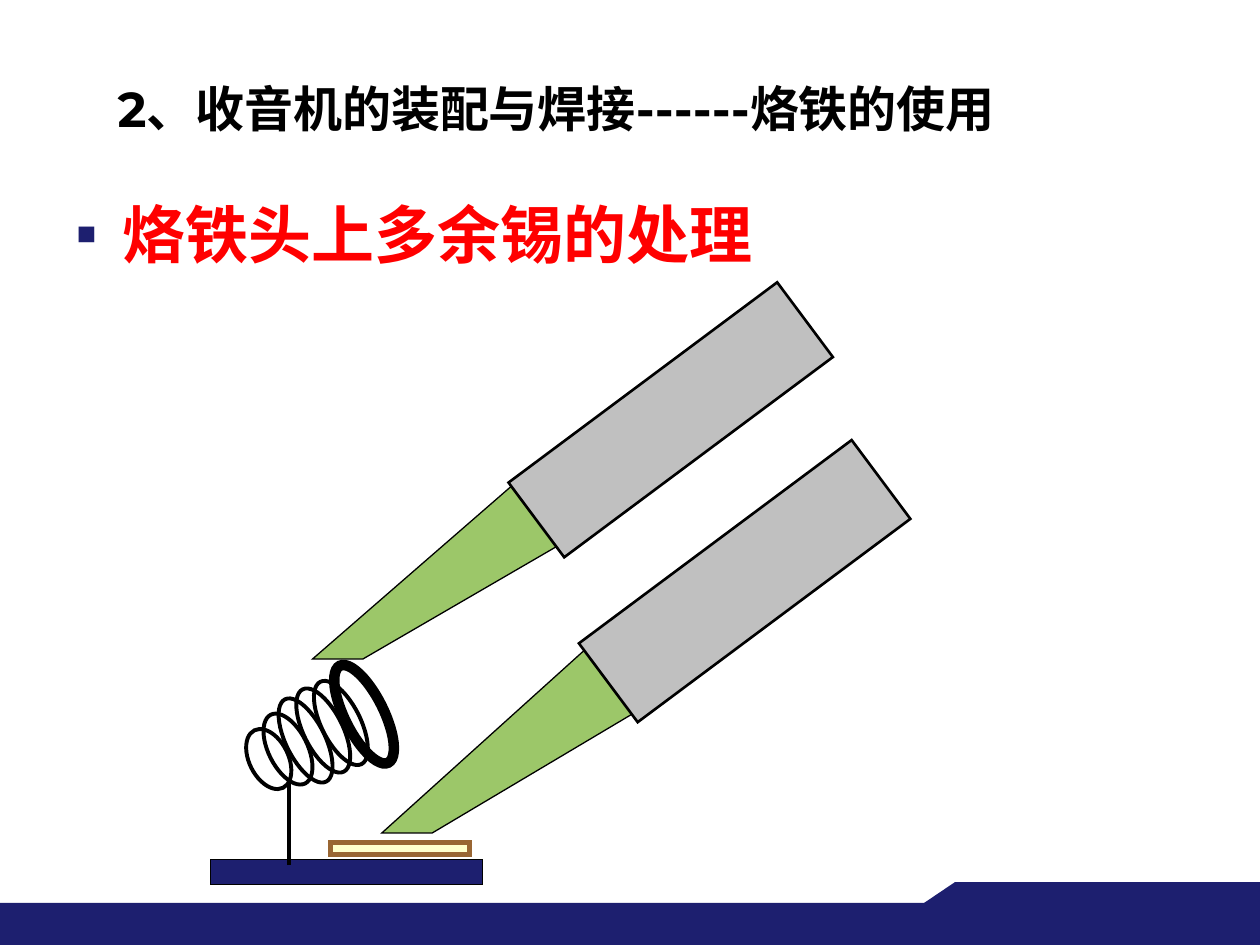
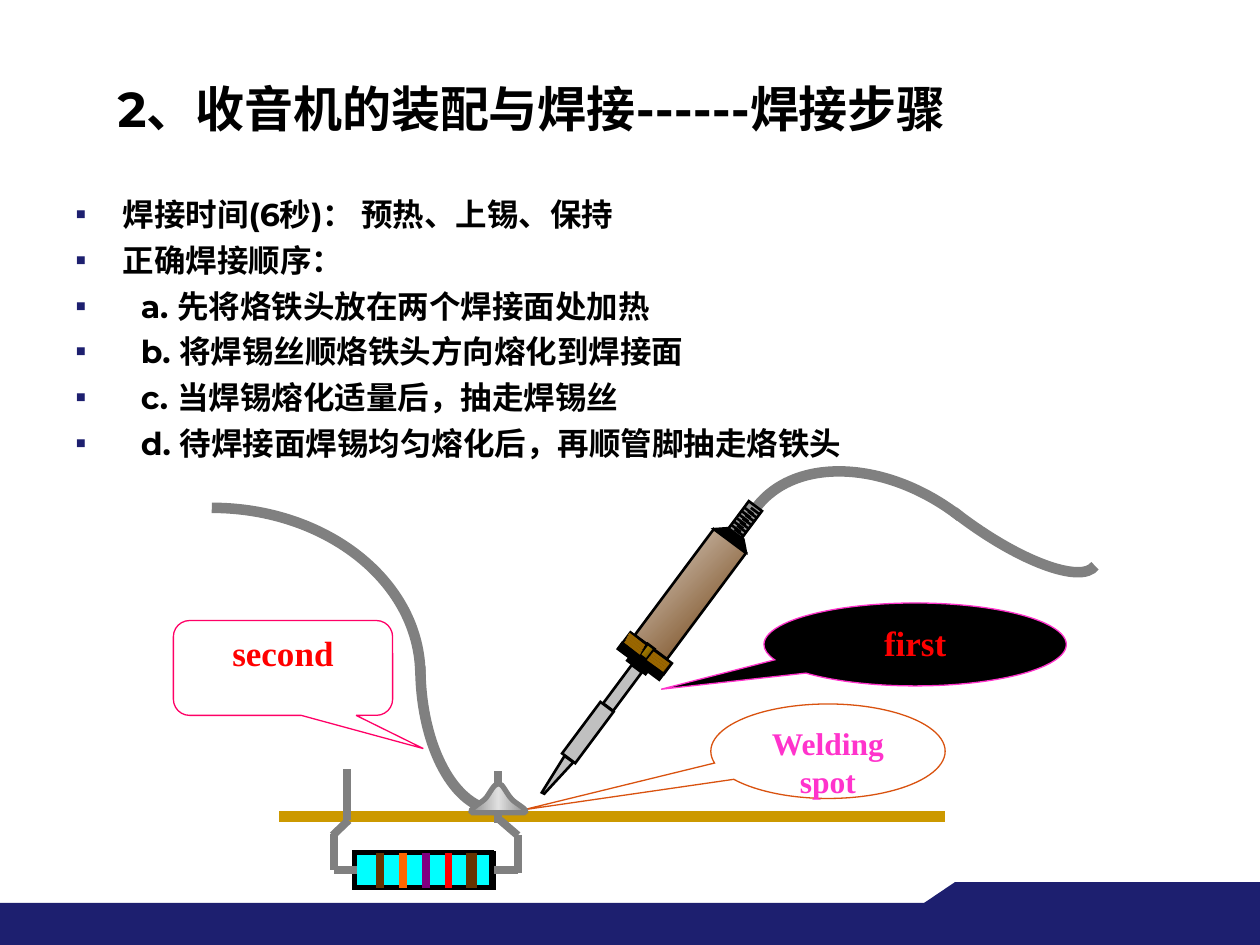
from dataclasses import dataclass

from lxml import etree
from pptx import Presentation
from pptx import util as u
from pptx.dml import color as c
from pptx.enum import shapes as kinds
from pptx.enum import text as t
from pptx.oxml import ns

Point = tuple[float, float]
Fill = str | tuple[str, ...] | None


@dataclass(frozen=True)
class Theme:
    navy: str = "1D1F6F"
    black: str = "000000"
    white: str = "FFFFFF"
    red: str = "FF0000"
    pink: str = "FF33CC"
    silver: str = "C0C0C0"
    gray: str = "808080"
    green: str = "9CC769"
    brass: str = "996600"
    brown: str = "663300"
    latin: str = "Montserrat"
    asian: str = "Noto Sans CJK JP"
    serif: str = "Times New Roman"
    title_size: int = 28
    headline_size: int = 36
    body_size: int = 18
    label_size: int = 20


THEME = Theme()


@dataclass(frozen=True)
class Block:
    left: float
    top: float
    width: float
    height: float
    fill: Fill = None
    line: str | None = THEME.black
    weight: float = 1.5
    angle: float = 0
    kind: kinds.MSO_SHAPE = kinds.MSO_SHAPE.RECTANGLE


@dataclass(frozen=True)
class Outline:
    points: tuple[Point, ...]
    fill: Fill = None
    line: str | None = THEME.black
    weight: float = 1.5
    closed: bool = True
    curved: bool = False
    sweep: float = 45


@dataclass(frozen=True)
class Stroke:
    start: Point
    end: Point
    color: str = THEME.black
    weight: float = 1.5


@dataclass(frozen=True)
class Callout:
    block: Block
    adjustments: tuple[float, ...]
    label: str
    color: str
    size: int


@dataclass(frozen=True)
class BodyLine:
    words: str
    indent: float = 27


def rgb(value: str) -> c.RGBColor:
    return c.RGBColor.from_string(value)


def paint(shape, fill: Fill, line: str | None, weight: float, sweep: float = 45) -> None:
    shape.shadow.inherit = False
    if fill is None:
        shape.fill.background()
    elif isinstance(fill, str):
        shape.fill.solid()
        shape.fill.fore_color.rgb = rgb(fill)
    else:
        shape.fill.gradient()
        shape.fill.gradient_angle = (360 - sweep) % 360
        gradient = shape.element.spPr.find(ns.qn("a:gradFill"))
        gradient.set("rotWithShape", "0")
        stops = gradient.find(ns.qn("a:gsLst"))
        for stop in list(stops):
            stops.remove(stop)
        for index, value in enumerate(fill):
            position = str(100000 * index // (len(fill) - 1))
            stop = etree.SubElement(stops, ns.qn("a:gs"), pos=position)
            etree.SubElement(stop, ns.qn("a:srgbClr"), val=value)
    if line is None:
        shape.line.fill.background()
    else:
        shape.line.color.rgb = rgb(line)
        shape.line.width = u.Pt(weight)
        edge = shape.element.spPr.find(ns.qn("a:ln"))
        etree.SubElement(edge, ns.qn("a:miter"), lim="800000")


def draw_block(page, block: Block):
    shape = page.shapes.add_shape(
        block.kind, u.Pt(block.left), u.Pt(block.top), u.Pt(block.width), u.Pt(block.height))
    shape.rotation = block.angle
    paint(shape, block.fill, block.line, block.weight)
    return shape


def bend(shape) -> None:
    segments = list(shape.element.iter(ns.qn("a:lnTo")))
    for first in range(0, len(segments), 3):
        curve = etree.Element(ns.qn("a:cubicBezTo"))
        segments[first].addprevious(curve)
        for segment in segments[first:first + 3]:
            curve.append(segment[0])
            segment.getparent().remove(segment)


def draw_outline(page, outline: Outline) -> None:
    corners = [(u.Pt(x), u.Pt(y)) for x, y in outline.points]
    builder = page.shapes.build_freeform(*corners[0], scale=1.0)
    builder.add_line_segments(corners[1:], close=outline.closed)
    shape = builder.convert_to_shape()
    if outline.curved:
        bend(shape)
    paint(shape, outline.fill, outline.line, outline.weight, outline.sweep)


def draw_stroke(page, stroke: Stroke) -> None:
    line = page.shapes.add_connector(
        kinds.MSO_CONNECTOR.STRAIGHT, *(u.Pt(value) for value in stroke.start + stroke.end))
    line.line.color.rgb = rgb(stroke.color)
    line.line.width = u.Pt(stroke.weight)
    etree.SubElement(line.element.spPr, ns.qn("a:effectLst"))


def draw_callout(page, callout: Callout) -> None:
    shape = draw_block(page, callout.block)
    for index, value in enumerate(callout.adjustments):
        shape.adjustments[index] = value
    frame = shape.text_frame
    frame.word_wrap = True
    frame.vertical_anchor = t.MSO_ANCHOR.TOP
    frame.text = callout.label
    para = frame.paragraphs[0]
    para.alignment = t.PP_ALIGN.CENTER
    format_run(para.runs[0], THEME.serif, callout.size, callout.color)


def draw_all(page, items: list) -> None:
    painters = {Block: draw_block, Outline: draw_outline, Stroke: draw_stroke, Callout: draw_callout}
    for item in items:
        painters[type(item)](page, item)


def hatch(start: Point, step: Point, delta: Point, count: int, color: str) -> list[Stroke]:
    origins = [(start[0] + i * step[0], start[1] + i * step[1]) for i in range(count)]
    return [Stroke((x, y), (x + delta[0], y + delta[1]), color) for x, y in origins]


def format_run(span, font: str, size: int, color: str) -> None:
    span.font.name = font
    span.font.size = u.Pt(size)
    span.font.bold = True
    span.font.color.rgb = rgb(color)
    latin = span.font._element.find(ns.qn("a:latin"))
    latin.addnext(etree.Element(ns.qn("a:ea"), typeface=THEME.asian))


def add_box(page, left: float, top: float, width: float, height: float):
    box = page.shapes.add_textbox(u.Pt(left), u.Pt(top), u.Pt(width), u.Pt(height))
    box.text_frame.word_wrap = True
    return box.text_frame


def add_body(page, lines: list[BodyLine], font: str, size: int, color: str) -> None:
    frame = add_box(page, 36, 108, 648, 396)
    frame.text = "\n".join(line.words for line in lines)
    for index, (para, line) in enumerate(zip(frame.paragraphs, lines)):
        if index:
            para.space_before = u.Pt(4.5)
        properties = para._p.get_or_add_pPr()
        properties.set("marL", str(u.Pt(line.indent)))
        properties.set("indent", str(-u.Pt(line.indent)))
        bullet_color = etree.SubElement(properties, ns.qn("a:buClr"))
        etree.SubElement(bullet_color, ns.qn("a:srgbClr"), val=THEME.navy)
        etree.SubElement(properties, ns.qn("a:buFont"), typeface=THEME.serif)
        etree.SubElement(properties, ns.qn("a:buChar"), char="▪")
        format_run(para.runs[0], font, size, color)


def add_page(deck, topic: str):
    page = deck.slides.add_slide(deck.slide_layouts[6])
    draw_all(page, [
        Block(0, 516, 720, 24, THEME.navy, None),
        Outline(((528, 516), (545.8, 504), (720, 504), (720, 522), (528, 522)), THEME.navy, None),
    ])
    frame = add_box(page, 60.1, 39.6, 617.8, 44.6)
    frame.vertical_anchor = t.MSO_ANCHOR.MIDDLE
    frame.text = f"2、收音机的装配与焊接------{topic}"
    format_run(frame.paragraphs[0].runs[0], THEME.latin, THEME.title_size, THEME.black)
    return page


def add_excess_solder_page(deck) -> None:
    page = add_page(deck, "烙铁的使用")
    add_body(page, [BodyLine("烙铁头上多余锡的处理")], THEME.asian, THEME.headline_size, THEME.red)
    upper_tip = ((320.4, 311), (207.4, 376.6), (178.6, 376.6), (293.8, 276.5))
    lower_tip = ((362.2, 407.5), (247, 476), (218.2, 476), (334.8, 370.8))
    coils = [
        (142.6, 416.9, 43.9, 2.25), (135.2, 422.6, 36.7, 2.25), (148.3, 412, 52.6, 2.25),
        (168.5, 402, 52.6, 2.25), (158.4, 406.3, 52.6, 2.25), (177.1, 397, 61.9, 6),
    ]
    draw_all(page, [
        Outline(upper_tip, THEME.green, weight=0.75),
        Block(356.6, 144.2, 53.3, 191.5, THEME.silver, angle=53.3),
        Outline(lower_tip, THEME.green, weight=0.75),
        Block(397.4, 234.9, 56.2, 194.4, THEME.silver, angle=53.3),
        Block(120.2, 491, 155.5, 14.4, THEME.navy, weight=0.75),
        Stroke((165.4, 494.4), (165.4, 447.1), weight=2.25),
        *[Block(left, top, width, 22.3, weight=weight, angle=63.5, kind=kinds.MSO_SHAPE.OVAL)
          for left, top, width, weight in coils],
        Block(188.8, 481.3, 79.4, 7.2, "FFFFCC", "996633", 3),
    ])


def resistor() -> list:
    leads = [
        ((203.8, 497.2), (190.8, 497.2)), ((295.9, 497.2), (282.2, 497.2)),
        ((295.9, 477.4), (295.9, 498.8)), ((199.2, 468.7), (190.1, 477.4)),
        ((285.8, 468.7), (295.9, 477.4)), ((190.8, 476.6), (190.8, 497.2)),
        ((284.7, 470.2), (284.7, 440.6)), ((198.5, 468.7), (198.5, 439.2)),
    ]
    bands = [(THEME.brown, 4.5), ("FF6600", 4.5), ("800080", 4.5), (THEME.red, 4.5), (THEME.brown, 6)]
    xs = [217 + 13.1 * index for index in range(len(bands))]
    return [
        Block(203.8, 487.4, 78.5, 20.2, THEME.white, weight=2.25),
        Block(202.6, 487, 78.5, 20.2, "00FFFF", weight=3),
        *[Stroke((x, 487.4), (x, 507.6), *band) for x, band in zip(xs, bands)],
        *[Stroke(start, end, THEME.gray, 4.5) for start, end in leads],
    ]


def soldering_iron() -> list:
    tilt = 36.7
    cap = ((408.2, 302.4), (417.6, 301.7), (424.8, 308.2), (426.2, 315.4))
    tip = ((322.6, 432), (309.6, 452.9), (311, 453.6), (327.6, 435.6))
    return [
        Block(383, 301.7, 23, 75.6, ("E3DAD1", THEME.brown), angle=tilt),
        Outline(cap, THEME.black),
        Block(355, 369.4, 29.5, 7.9, (THEME.brass, "472F00"), angle=tilt),
        Block(351.4, 375.8, 29.5, 4.3, THEME.black, angle=tilt),
        Block(357.8, 379.4, 13, 2.2, THEME.black, angle=tilt),
        Block(352.1, 379.4, 7.2, 27.4, THEME.silver, angle=tilt),
        Block(331.2, 400.3, 9.4, 36.7, THEME.silver, angle=tilt),
        Outline(tip, THEME.silver),
        Block(421.2, 287.3, 9.4, 19.4, "969696", angle=tilt),
        *hatch((429.1, 290.2), (-1.56, 2.04), (5, 3.7), 7, THEME.black),
        *hatch((425.5, 290.2), (-1.44, 2.02), (5, 3.7), 6, THEME.black),
        Block(367.2, 368.6, 5, 7.9, ("CC9900", "5E4700"), angle=tilt),
        *hatch((359.3, 362.2), (-0.72, 1.44), (8.9, 7), 4, THEME.brass),
        *hatch((373, 373), (-0.96, 1.2), (9.2, 6.6), 4, THEME.brass),
    ]


def add_steps_page(deck) -> None:
    page = add_page(deck, "焊接步骤")
    steps = [
        "a. 先将烙铁头放在两个焊接面处加热",
        "b. 将焊锡丝顺烙铁头方向熔化到焊接面",
        "c. 当焊锡熔化适量后，抽走焊锡丝",
        "d. 待焊接面焊锡均匀熔化后，再顺管脚抽走烙铁头",
    ]
    add_body(page, [
        BodyLine("焊接时间(6秒)： 预热、上锡、保持"),
        BodyLine("正确焊接顺序："),
        *[BodyLine(step, 37.4) for step in steps],
    ], THEME.latin, THEME.body_size, THEME.black)
    solder_wire = [
        ((121, 290.2), (186.5, 290.2), (240.2, 332.6), (240.2, 385.9)),
        ((284.4, 463), (259.9, 463), (240.2, 426.2), (240.2, 380.9)),
    ]
    power_cable = [
        ((432, 290.2), (454.3, 260.6), (506.9, 262.8), (548.6, 295.2)),
        ((625.7, 323.3), (617.8, 334.1), (581, 320.4), (545, 292.3)),
    ]
    mound = (
        (270, 464.4), (266.4, 463), (275.8, 458.6), (277.9, 455.8), (280.1, 452.9),
        (282.2, 447.8), (285.1, 447.8), (287.3, 447.8), (289.4, 453.6), (292.3, 456.5),
        (294.5, 459.4), (303.1, 463), (299.5, 464.4),
    )
    oval = kinds.MSO_SHAPE.OVAL_CALLOUT
    rounded = kinds.MSO_SHAPE.ROUNDED_RECTANGULAR_CALLOUT
    wires, cables = [
        [Outline(curve, line=THEME.gray, weight=6, closed=False, curved=True) for curve in curves]
        for curves in (solder_wire, power_cable)]
    draw_all(page, [
        Stroke((159.6, 466.6), (540, 466.6), "CC9900", 6),
        *wires, *resistor(), *cables, *soldering_iron(),
        Callout(Block(436.6, 344.6, 172.8, 47.4, THEME.black, THEME.pink, 0.75, kind=oval),
                (-0.84, 0.54), "first", THEME.red, THEME.label_size),
        Callout(Block(406.2, 402.3, 133.9, 54, THEME.white, "D9520F", 0.75, kind=oval),
                (-1.3, 0.62), "Welding spot", THEME.pink, THEME.body_size),
        Callout(Block(99.1, 354.6, 125.3, 54.2, THEME.white, "FF0066", 0.75, kind=rounded),
                (0.64, 0.85, 0.17), "second", THEME.red, THEME.label_size),
        Outline(mound, (THEME.gray, "E0E0E0", THEME.gray), THEME.gray, 3, curved=True, sweep=0),
    ])


def main() -> None:
    deck = Presentation()
    deck.slide_width, deck.slide_height = u.Pt(720), u.Pt(540)
    add_excess_solder_page(deck)
    add_steps_page(deck)
    deck.save("out.pptx")


if __name__ == "__main__":
    main()
